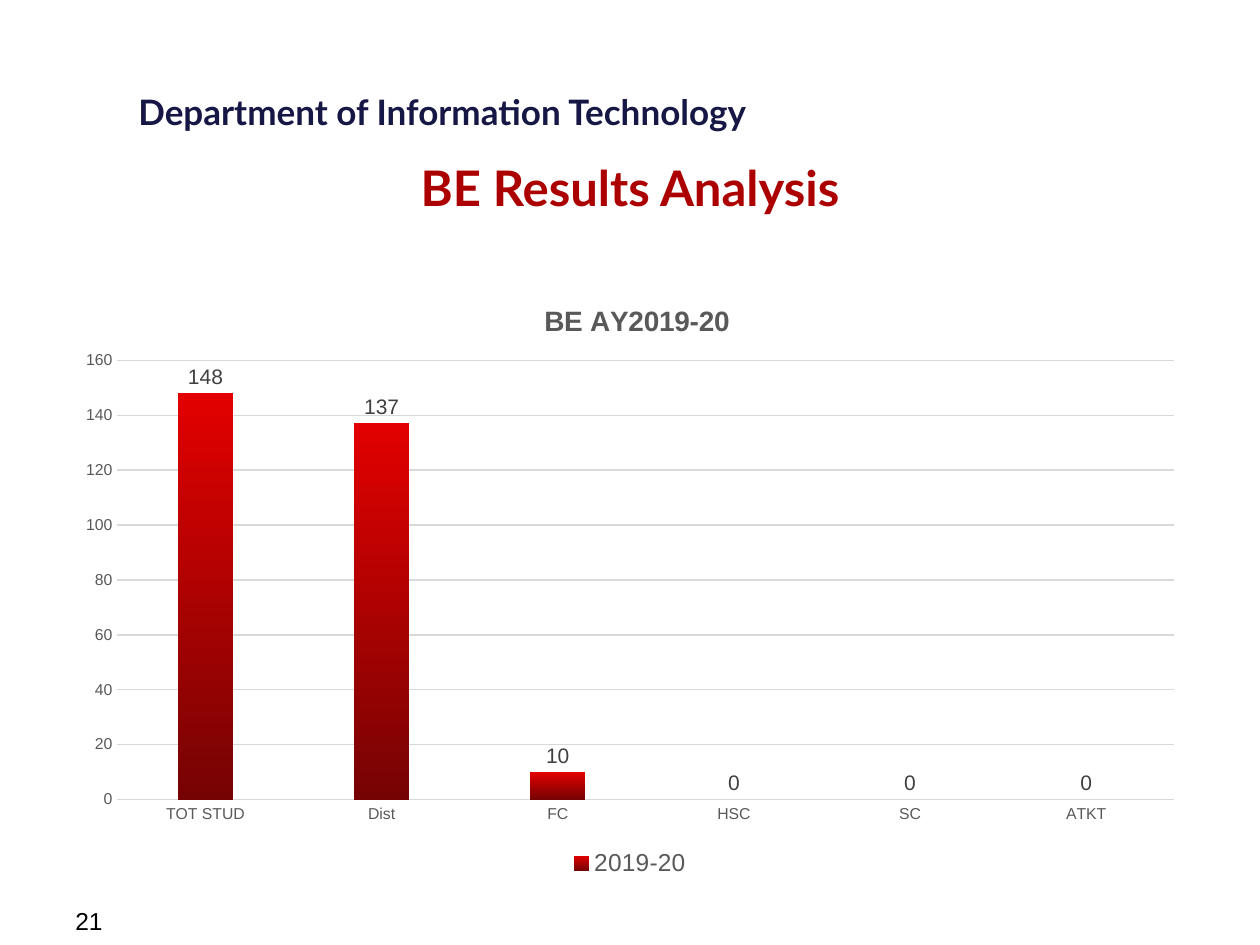
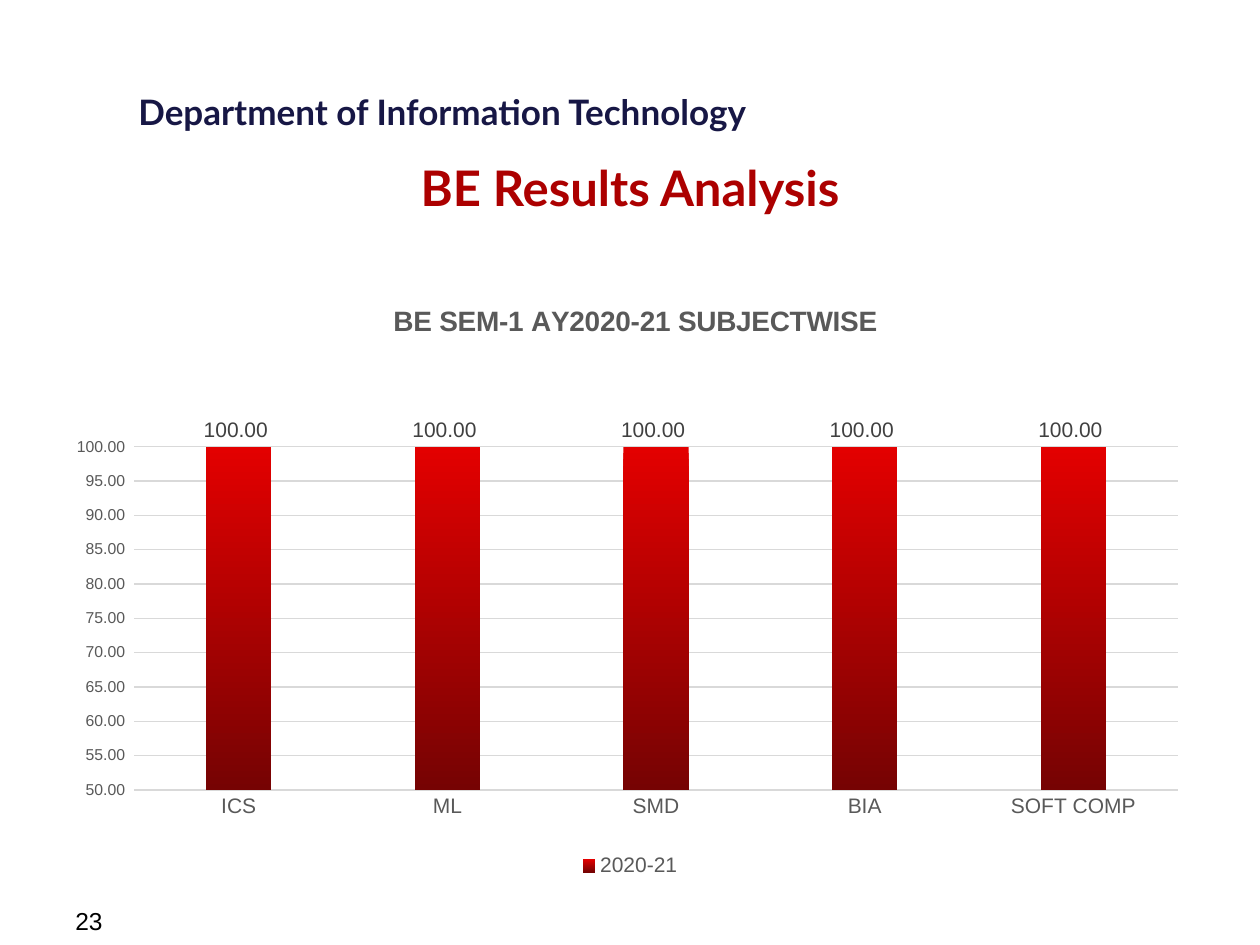
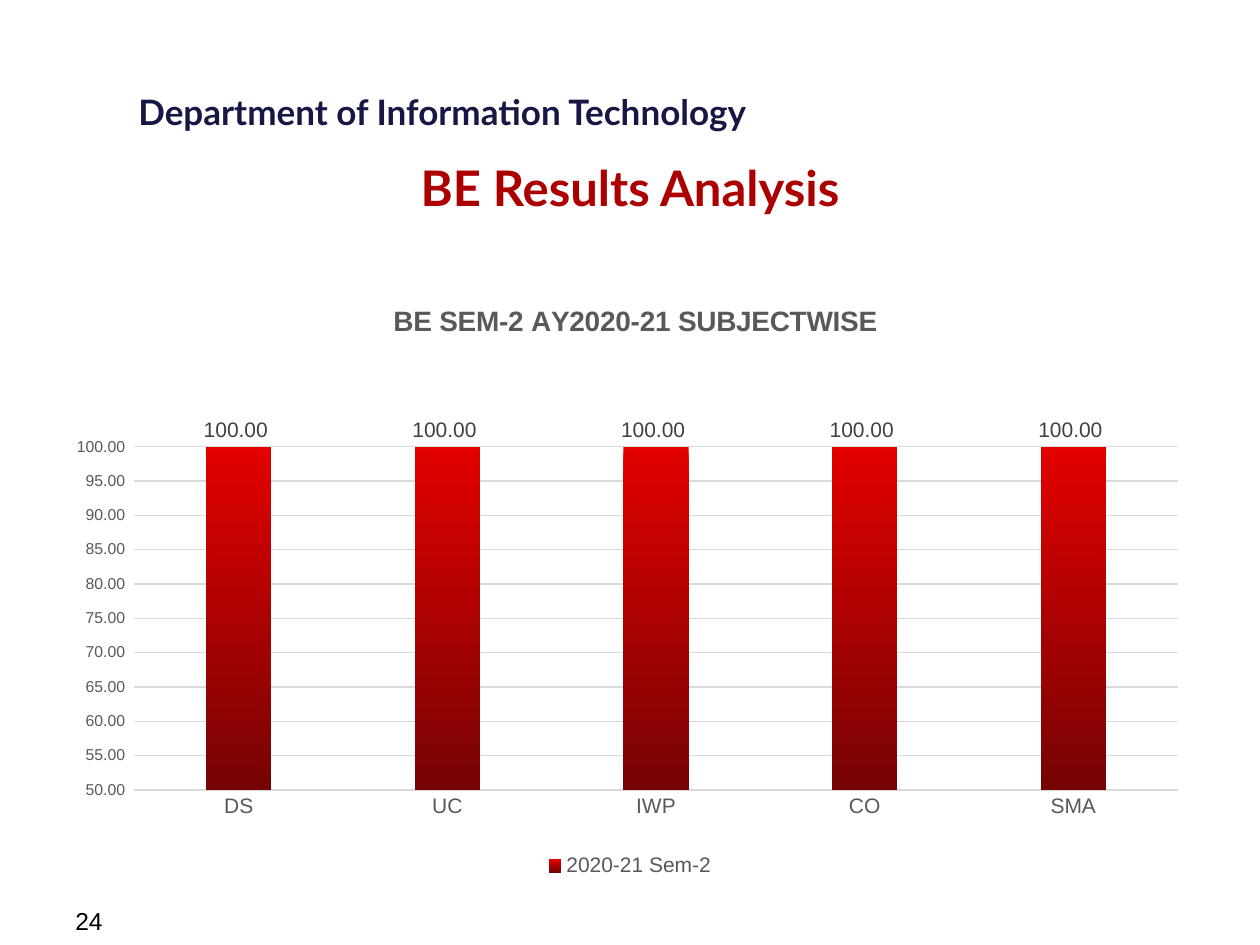
"""Builds three slides of department result charts."""
from lxml.etree import SubElement
from pptx import Presentation
from pptx.chart.data import CategoryChartData as ChartData
from pptx.dml.color import RGBColor
from pptx.enum.chart import XL_CHART_TYPE as ChartType
from pptx.enum.chart import XL_LABEL_POSITION as LabelPosition
from pptx.enum.chart import XL_LEGEND_POSITION as LegendPosition
from pptx.enum.chart import XL_TICK_MARK as TickMark
from pptx.enum.text import PP_ALIGN as Align
from pptx.oxml.ns import qn
from pptx.util import Cm, Pt

NAVY = RGBColor(0x17, 0x17, 0x45)
CRIMSON = RGBColor(0xAC, 0x00, 0x00)
BLACK = RGBColor(0x00, 0x00, 0x00)
GREY = RGBColor(0x59, 0x59, 0x59)
LABEL_GREY = RGBColor(0x40, 0x40, 0x40)
GRID_GREY = RGBColor(0xD9, 0xD9, 0xD9)
BAR_TOP = RGBColor(0xE3, 0x00, 0x00)
BAR_BOTTOM = RGBColor(0x76, 0x03, 0x03)

DEPARTMENT = "Department of Information Technology"
HEADING = "BE Results Analysis"

YEAR_STYLE = {
    "scale": (0, 160, 20), "number_format": "General",
    "category_size": 9, "legend_size": 14,
    "title_at": {"x": 0.42, "y": 0.04},
    "plot_at": {"x": 0.048, "y": 0.143, "w": 0.932, "h": 0.722},
}
SUBJECT_STYLE = {
    "scale": (50, 100, 5), "number_format": "0.00_ ",
    "category_size": 12, "legend_size": 12,
    "title_at": {"x": 0.287, "y": 0.04},
    "plot_at": {"x": 0.063, "y": 0.285, "w": 0.92, "h": 0.564},
}

RESULTS = [
    {"page": "21", "title": "BE AY2019-20", "series": "2019-20", "style": YEAR_STYLE,
     "values": {"TOT STUD": 148, "Dist": 137, "FC": 10, "HSC": 0, "SC": 0, "ATKT": 0}},
    {"page": "23", "title": "BE SEM-1 AY2020-21 SUBJECTWISE", "series": "2020-21",
     "style": SUBJECT_STYLE,
     "values": dict.fromkeys(["ICS", "ML", "SMD", "BIA", "SOFT COMP"], 100)},
    {"page": "24", "title": "BE SEM-2 AY2020-21 SUBJECTWISE", "series": "2020-21 Sem-2",
     "style": SUBJECT_STYLE,
     "values": dict.fromkeys(["DS", "UC", "IWP", "CO", "SMA"], 100)},
]


def set_font(font, size, color, name="Arial", bold=False):
    font.size, font.name, font.bold = Pt(size), name, bold
    font.color.rgb = color


def add_text(slide, text, left, top, width, height, align=Align.LEFT, wrap=True, **style):
    box = slide.shapes.add_textbox(Cm(left), Cm(top), Cm(width), Cm(height))
    box.text_frame.word_wrap = wrap
    para = box.text_frame.paragraphs[0]
    para.alignment = align
    span = para.add_run()
    span.text = text
    set_font(span.font, **style)


def place(parent, index, position, inner=False):
    """Gives a chart part a fixed layout, in fractions of the chart."""
    for old in parent.findall(qn("c:layout")):
        parent.remove(old)
    layout = SubElement(parent, qn("c:layout"))
    parent.insert(index, layout)
    manual = SubElement(layout, qn("c:manualLayout"))
    if inner:
        SubElement(manual, qn("c:layoutTarget"), val="inner")
    for key in "xy":
        SubElement(manual, qn(f"c:{key}Mode"), val="edge")
    for key, value in position.items():
        SubElement(manual, qn(f"c:{key}"), val=str(value))


def style_axes(chart, style):
    category_axis, value_axis = chart.category_axis, chart.value_axis
    for axis, size in ((category_axis, style["category_size"]), (value_axis, 9)):
        axis.major_tick_mark = axis.minor_tick_mark = TickMark.NONE
        set_font(axis.tick_labels.font, size, GREY)
    value_axis.minimum_scale, value_axis.maximum_scale, value_axis.major_unit = style["scale"]
    value_axis.tick_labels.number_format = style["number_format"]
    value_axis.tick_labels.number_format_is_linked = False
    value_axis.format.line.fill.background()
    for line in (category_axis.format.line, value_axis.major_gridlines.format.line):
        line.color.rgb = GRID_GREY
        line.width = Pt(0.75)


def style_bars(plot, number_format):
    plot.gap_width, plot.overlap, plot.vary_by_categories = 219, -27, False
    fill = plot.series[0].format.fill
    fill.gradient()
    fill.gradient_angle = 270
    for stop, color, position in zip(fill.gradient_stops, (BAR_TOP, BAR_BOTTOM), (0, 1)):
        stop.color.rgb = color
        stop.position = position
    plot.has_data_labels = True
    labels = plot.data_labels
    labels.show_value = True
    labels.position = LabelPosition.OUTSIDE_END
    labels.number_format = number_format
    labels.number_format_is_linked = False
    set_font(labels.font, 12, LABEL_GREY)


def add_result_chart(slide, result):
    style = result["style"]
    data = ChartData()
    data.categories = list(result["values"])
    data.add_series(result["series"], list(result["values"].values()))
    chart = slide.shapes.add_chart(
        ChartType.COLUMN_CLUSTERED, Cm(1.27), Cm(5.51), Cm(22.86), Cm(12.27), data).chart
    set_font(chart.font, 10, BLACK)

    chart.has_title = True
    para = chart.chart_title.text_frame.paragraphs[0]
    span = para.add_run()
    span.text = result["title"]
    set_font(span.font, 16, GREY, bold=True)
    place(chart.element.find(".//" + qn("c:title")), 1, style["title_at"])
    place(chart.element.find(".//" + qn("c:plotArea")), 0, style["plot_at"], inner=True)

    chart.has_legend = True
    chart.legend.position = LegendPosition.BOTTOM
    chart.legend.include_in_layout = False
    set_font(chart.legend.font, style["legend_size"], GREY)
    style_axes(chart, style)
    style_bars(chart.plots[0], style["number_format"])


def main():
    deck = Presentation()
    deck.slide_width, deck.slide_height = Cm(25.4), Cm(19.05)
    for result in RESULTS:
        slide = deck.slides.add_slide(deck.slide_layouts[6])
        add_text(slide, DEPARTMENT, 2.54, 1.7, 13.59, 1.12, wrap=False,
                 size=20, color=NAVY, name="Lato", bold=True)
        add_text(slide, HEADING, 1.27, 3.05, 22.86, 1.22, align=Align.CENTER,
                 size=28, color=CRIMSON, name="Lato", bold=True)
        add_text(slide, result["page"], 1.27, 18.14, 5.92, 0.69, size=14, color=BLACK)
        add_result_chart(slide, result)
    deck.save("out.pptx")


if __name__ == "__main__":
    main()
